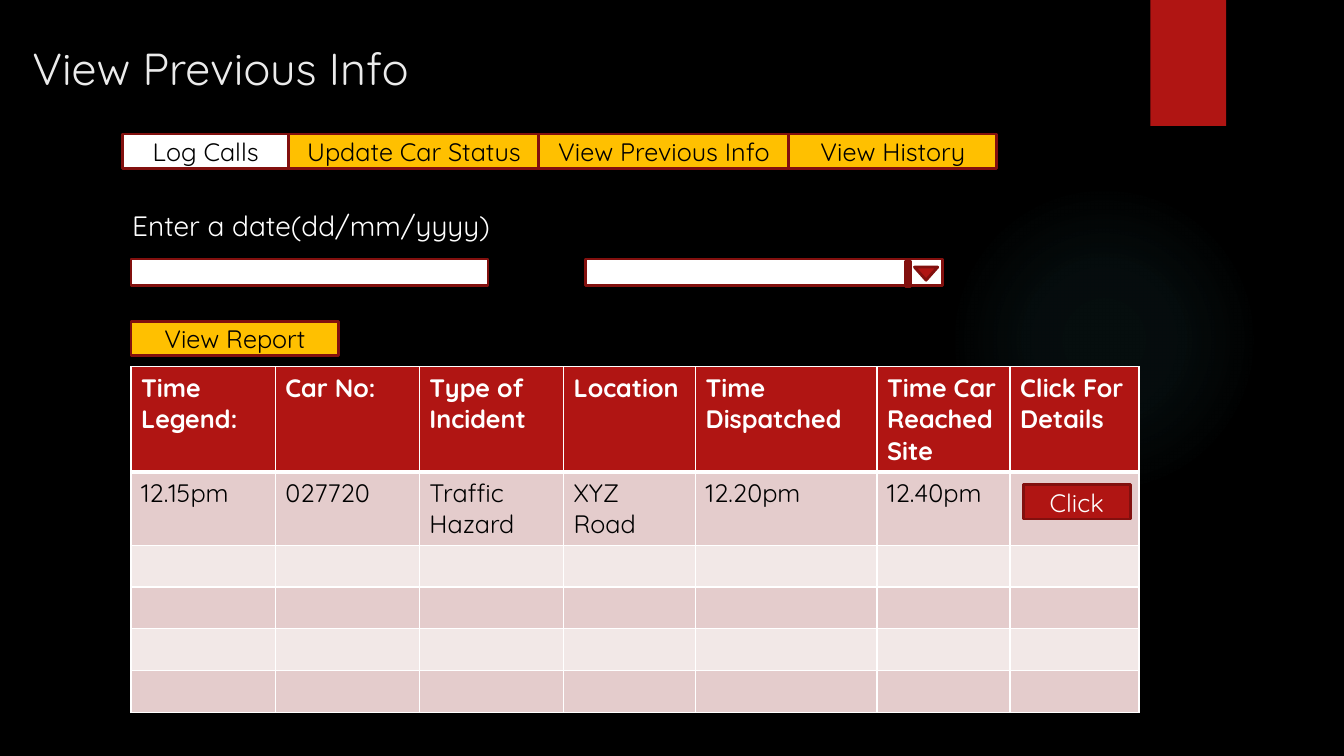
from lxml import etree
from pptx import Presentation
from pptx import util as u
from pptx.dml.color import RGBColor
from pptx.enum import shapes, text
from pptx.oxml.ns import qn

WIDTH, HEIGHT = u.Inches(13.33), u.Inches(7.5)
FONT = "Quicksand"
COLORS = {
    "black": "000000",
    "white": "FFFFFF",
    "title": "EBEBEB",
    "red": "B01513",
    "dark_red": "82100E",
    "amber": "FFC000",
    "glow": "50B9C1",
    "dark_band": "E4CCCC",
    "light_band": "F2E8E7",
}
KINDS = shapes.MSO_SHAPE
LEFT, BUTTON_HEIGHT, BUTTON_WIDTH = 9.75, 4.53, 15.45
TABS = [
    ("Log Calls", 12.38, "white"),
    ("Update Car Status", 18.6, "amber"),
    ("View Previous Info", 18.6, "amber"),
    ("View History", BUTTON_WIDTH, "amber"),
]
CALL_COLUMNS = [10.73, 10.73, 10.73, 9.83, 13.5, 9.9, 9.6]
CALL_ROWS = [13.9, 9.65] + [5.53] * 4
CALLS = [
    ["Time Legend:", "Car No:", "Type of Incident", "Location",
     "Time Dispatched", "Time Car Reached Site", "Click For Details"],
    ["12.15pm", "027720", "Traffic Hazard", "XYZ Road", "12.20pm", "12.40pm"],
]


def color(name):
    return RGBColor.from_string(COLORS[name])


def across(percent):
    return round(WIDTH * percent / 100)


def down(percent):
    return round(HEIGHT * percent / 100)


def area(left, top, width, height):
    return across(left), down(top), across(width), down(height)


def write(frame, words, size, ink, align=text.PP_ALIGN.LEFT, bold=False):
    frame.text = words
    para = frame.paragraphs[0]
    para.alignment = align
    for span in para.runs:
        span.font.name = FONT
        span.font.size = u.Pt(size)
        span.font.bold = bold
        span.font.color.rgb = color(ink)
    return para


def add_box(page, place, fill, line="dark_red", kind=KINDS.RECTANGLE):
    box = page.shapes.add_shape(kind, *area(*place))
    box.shadow.inherit = False
    box.fill.solid()
    box.fill.fore_color.rgb = color(fill)
    if line:
        box.line.color.rgb = color(line)
        box.line.width = u.Pt(2)
    else:
        box.line.fill.background()
    return box


def add_button(page, words, place, fill="amber", ink="black"):
    box = add_box(page, place, fill)
    box.text_frame.vertical_anchor = text.MSO_ANCHOR.MIDDLE
    write(box.text_frame, words, 18, ink, text.PP_ALIGN.CENTER)


def add_glow(page, place):
    box = add_box(page, place, "glow", None, KINDS.OVAL)
    solid = box._element.spPr.find(qn("a:solidFill"))
    gradient = etree.Element(qn("a:gradFill"), rotWithShape="1")
    stops = etree.SubElement(gradient, qn("a:gsLst"))
    for position, opacity in [(0, 7), (36, 6), (69, 0)]:
        stop = etree.SubElement(stops, qn("a:gs"), pos=str(position * 1000))
        tint = etree.SubElement(stop, qn("a:srgbClr"), val=COLORS["glow"])
        etree.SubElement(tint, qn("a:alpha"), val=str(opacity * 1000))
    circle = etree.SubElement(gradient, qn("a:path"), path="circle")
    etree.SubElement(circle, qn("a:fillToRect"), l="50000", t="50000", r="50000", b="50000")
    solid.getparent().replace(solid, gradient)


def fill_placeholder(box, place, words, size, ink, anchor):
    box.left, box.top, box.width, box.height = area(*place)
    frame = box.text_frame
    frame.word_wrap = True
    frame.auto_size = text.MSO_AUTO_SIZE.NONE
    frame.vertical_anchor = anchor
    return write(frame, words, size, ink)


def remove_bullet(para):
    settings = para._p.get_or_add_pPr()
    settings.set("marL", "0")
    settings.set("indent", "0")
    etree.SubElement(settings, qn("a:buNone"))


def border_cell(cell, header):
    settings = cell._tc.get_or_add_tcPr()
    for index, side in enumerate(["lnL", "lnR", "lnT", "lnB"]):
        weight = 3 if header and side == "lnB" else 1
        edge = etree.Element(qn("a:" + side), w=str(u.Pt(weight)))
        solid = etree.SubElement(edge, qn("a:solidFill"))
        etree.SubElement(solid, qn("a:srgbClr"), val=COLORS["white"])
        settings.insert(index, edge)


def add_calls_table(page, left, top):
    place = area(left, top, sum(CALL_COLUMNS), sum(CALL_ROWS))
    table = page.shapes.add_table(len(CALL_ROWS), len(CALL_COLUMNS), *place).table
    for column, width in zip(table.columns, CALL_COLUMNS):
        column.width = across(width)
    for row_index, (row, height) in enumerate(zip(table.rows, CALL_ROWS)):
        row.height = down(height)
        header = row_index == 0
        band = "red" if header else "dark_band" if row_index % 2 else "light_band"
        for cell in row.cells:
            cell.fill.solid()
            cell.fill.fore_color.rgb = color(band)
            border_cell(cell, header)
    for row, entries in zip(table.rows, CALLS):
        header = entries is CALLS[0]
        for cell, words in zip(row.cells, entries):
            write(cell.text_frame, words, 18, "white" if header else "black", bold=header)


def add_tabs(page, left, top):
    for words, width, fill in TABS:
        add_button(page, words, (left, top, width, BUTTON_HEIGHT), fill)
        left += width


def add_fields(page):
    for left in (LEFT, 43.58):
        add_box(page, (left, 34.27, 26.56, 3.47), "white")
    add_box(page, (67.36, 34.53, 0.38, 3.33), "dark_red")
    arrow = add_box(page, (68.04, 35.33, 1.73, 1.73), "red", kind=KINDS.ISOSCELES_TRIANGLE)
    arrow.rotation = 180


def main():
    deck = Presentation()
    deck.slide_width, deck.slide_height = WIDTH, HEIGHT
    page = deck.slides.add_slide(deck.slide_layouts[1])
    page.background.fill.solid()
    page.background.fill.fore_color.rgb = color("black")

    add_glow(page, (70.58, 24.4, 23.1, 41.07))
    add_box(page, (85.6, 0, 5.63, 16.67), "red", None)
    title, body = page.placeholders
    fill_placeholder(title, (1.65, 4.67, 31.05, 8.53), "View Previous Info", 32,
                     "title", text.MSO_ANCHOR.MIDDLE)
    prompt = fill_placeholder(body, (9.08, 26.93, 73.35, 61.2), "Enter a date(dd/mm/yyyy)", 20,
                              "white", text.MSO_ANCHOR.TOP)
    prompt.space_before = u.Pt(10)
    remove_bullet(prompt)

    add_tabs(page, 9.12, 17.73)
    add_fields(page)
    add_button(page, "View Report", (LEFT, 42.53, BUTTON_WIDTH, BUTTON_HEIGHT))
    add_calls_table(page, LEFT, 48.53)
    add_button(page, "Click", (76.14, 64.13, 7.95, BUTTON_HEIGHT), "red", "white")
    deck.save("out.pptx")


if __name__ == "__main__":
    main()
